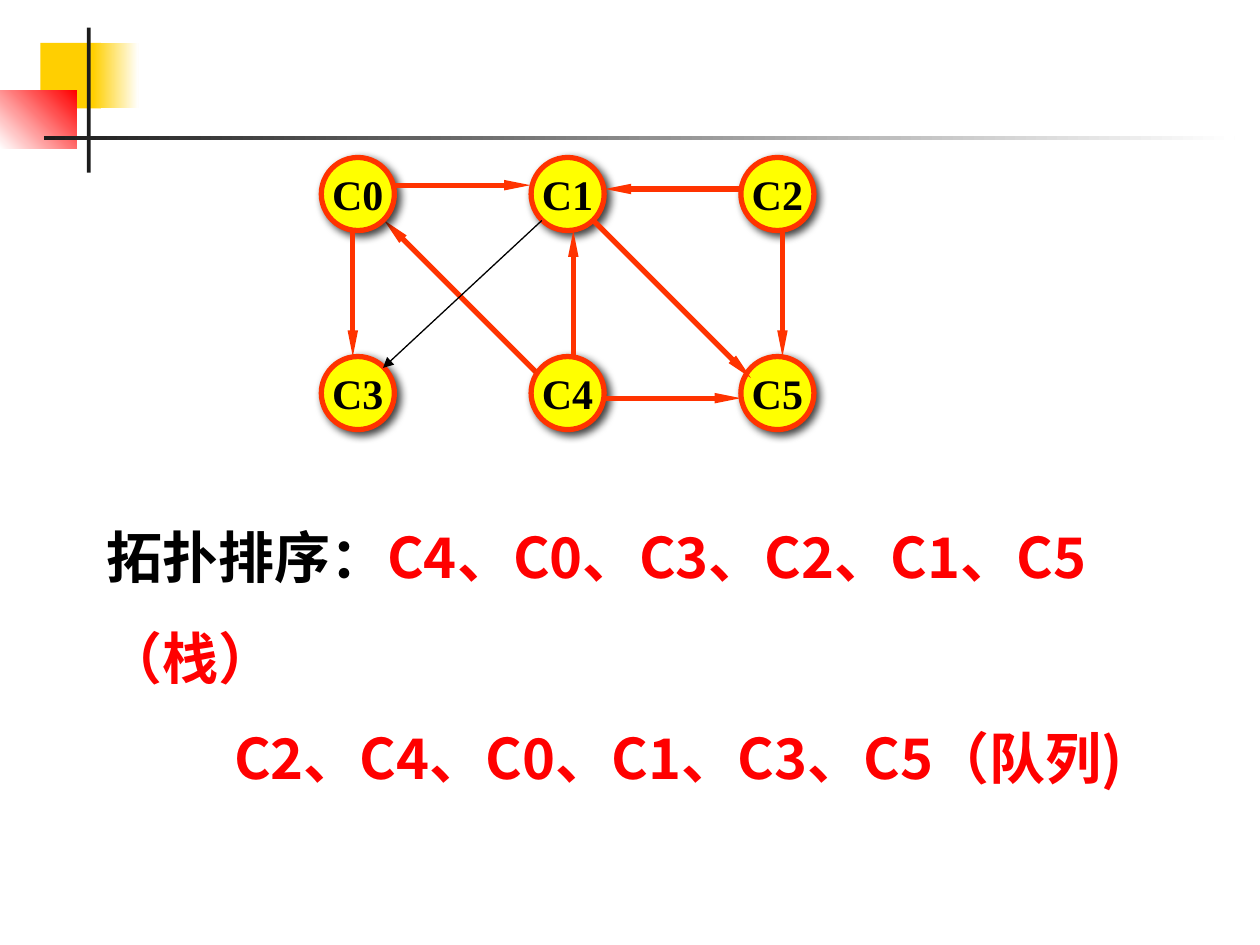
from lxml import etree
from pptx import Presentation
from pptx.dml.color import RGBColor
from pptx.enum import shapes, text
from pptx.oxml import parse_xml
from pptx.oxml.ns import nsdecls, qn
from pptx.util import Inches, Pt

RED_ORANGE, RED, BLACK = "FF3300", "FF0000", "000000"
YELLOW, GOLD, CHARCOAL, WHITE = "FFFF00", "FFCF01", "1C1C1C", "FFFFFF"
rgb = RGBColor.from_string


def add_run(paragraph, words, size=32, font="Noto Sans CJK SC", color=BLACK):
    run = paragraph.add_run()
    run.text = words
    run.font.size, run.font.name, run.font.bold = Pt(size), font, True
    run.font.color.rgb = rgb(color)
    etree.SubElement(run.font._element, qn("a:ea"), typeface=font)


def add_arrow(start, end, color=RED_ORANGE, width=3, head=("sm", "lg")):
    arrow = slide.shapes.add_connector(
        shapes.MSO_CONNECTOR.STRAIGHT, *(Inches(value) for value in start + end))
    arrow.line.color.rgb = rgb(color)
    arrow.line.width = Pt(width)
    etree.SubElement(arrow.line._get_or_add_ln(), qn("a:tailEnd"),
                     type="triangle", w=head[0], len=head[1])
    etree.SubElement(arrow._element.spPr, qn("a:effectLst"))


presentation = Presentation()
presentation.slide_width, presentation.slide_height = Inches(10), Inches(7.5)
slide = presentation.slides.add_slide(presentation.slide_layouts[6])

# Corner decoration: box, colours (two make a gradient), gradient angle
decoration = [
    ((0.32, 0.34, 0.48, 0.52), [GOLD], 0),
    ((0.74, 0.34, 0.36, 0.52), [GOLD, WHITE], 0),
    ((0, 0.72, 0.61, 0.46), [WHITE, RED], 45),
    ((0.69, 0.22, 0.03, 1.15), [CHARCOAL], 0),
    ((0.35, 1.08, 9.45, 0.03), [CHARCOAL, WHITE], 0),
]
for box, colors, angle in decoration:
    shape = slide.shapes.add_shape(
        shapes.MSO_SHAPE.RECTANGLE, *(Inches(value) for value in box))
    shape.shadow.inherit = False
    shape.line.fill.background()
    if len(colors) == 1:
        shape.fill.solid()
        shape.fill.fore_color.rgb = rgb(colors[0])
    else:
        shape.fill.gradient()
        shape.fill.gradient_angle = angle
        for stop, color in zip(shape.fill.gradient_stops, colors):
            stop.color.rgb = rgb(color)

# Graph: the C4 to C0 edge lies behind the nodes
add_arrow((4.3, 3), (3.05, 1.75))

for index in range(6):
    row, column = divmod(index, 3)
    node = slide.shapes.add_shape(
        shapes.MSO_SHAPE.OVAL, Inches(2.55 + 1.665 * column),
        Inches(1.25 + 1.58 * row), Inches(0.58), Inches(0.58))
    node.fill.solid()
    node.fill.fore_color.rgb = rgb(YELLOW)
    node.line.color.rgb = rgb(RED_ORANGE)
    node.line.width = Pt(3)
    node._element.spPr.append(parse_xml(
        f'<a:effectLst {nsdecls("a")}><a:outerShdw blurRad="{Pt(5)}" dist="{Pt(3)}" '
        'dir="2700000" algn="ctr" rotWithShape="0"><a:srgbClr val="000000">'
        '<a:alpha val="75000"/></a:srgbClr></a:outerShdw></a:effectLst>'))
    frame = node.text_frame
    frame.word_wrap = False
    frame.vertical_anchor = text.MSO_ANCHOR.MIDDLE
    paragraph = frame.paragraphs[0]
    paragraph.alignment = text.PP_ALIGN.CENTER
    add_run(paragraph, f"C{index}", size=24, font="Times New Roman")

edges = [
    ((3.12, 1.47), (4.21, 1.47)),  # C0 to C1
    ((5.88, 1.5), (4.8, 1.5)),     # C2 to C1
    ((2.8, 1.83), (2.8, 2.83)),    # C0 to C3
    ((4.55, 2.83), (4.55, 1.83)),  # C4 to C1
    ((4.8, 3.16), (5.88, 3.16)),   # C4 to C5
    ((6.21, 1.83), (6.21, 2.83)),  # C2 to C5
    ((4.71, 1.75), (5.96, 3)),     # C1 to C5
]
for start, end in edges:
    add_arrow(start, end)

# Topological orders
orders = slide.shapes.add_textbox(Inches(0.75), Inches(3.83), Inches(8.9), Inches(1.7))
frame = orders.text_frame
frame.word_wrap = True
frame.auto_size = text.MSO_AUTO_SIZE.SHAPE_TO_FIT_TEXT
stack_order, queue_order = frame.paragraphs[0], frame.add_paragraph()
stack_order.line_spacing = queue_order.line_spacing = 1.5
add_run(stack_order, "拓扑排序：")
add_run(stack_order, "C4、C0、C3、C2、C1、C5（栈）", color=RED)
properties = queue_order._p.get_or_add_pPr()
properties.set("marL", "0")
properties.set("indent", str(Inches(1.01)))
add_run(queue_order, "C2、C4、C0、C1、C3、C5（队列)", color=RED)

# C1 to C3
add_arrow((4.3, 1.75), (3.04, 2.92), color=BLACK, width=0.75, head=("med", "med"))

presentation.save("out.pptx")
